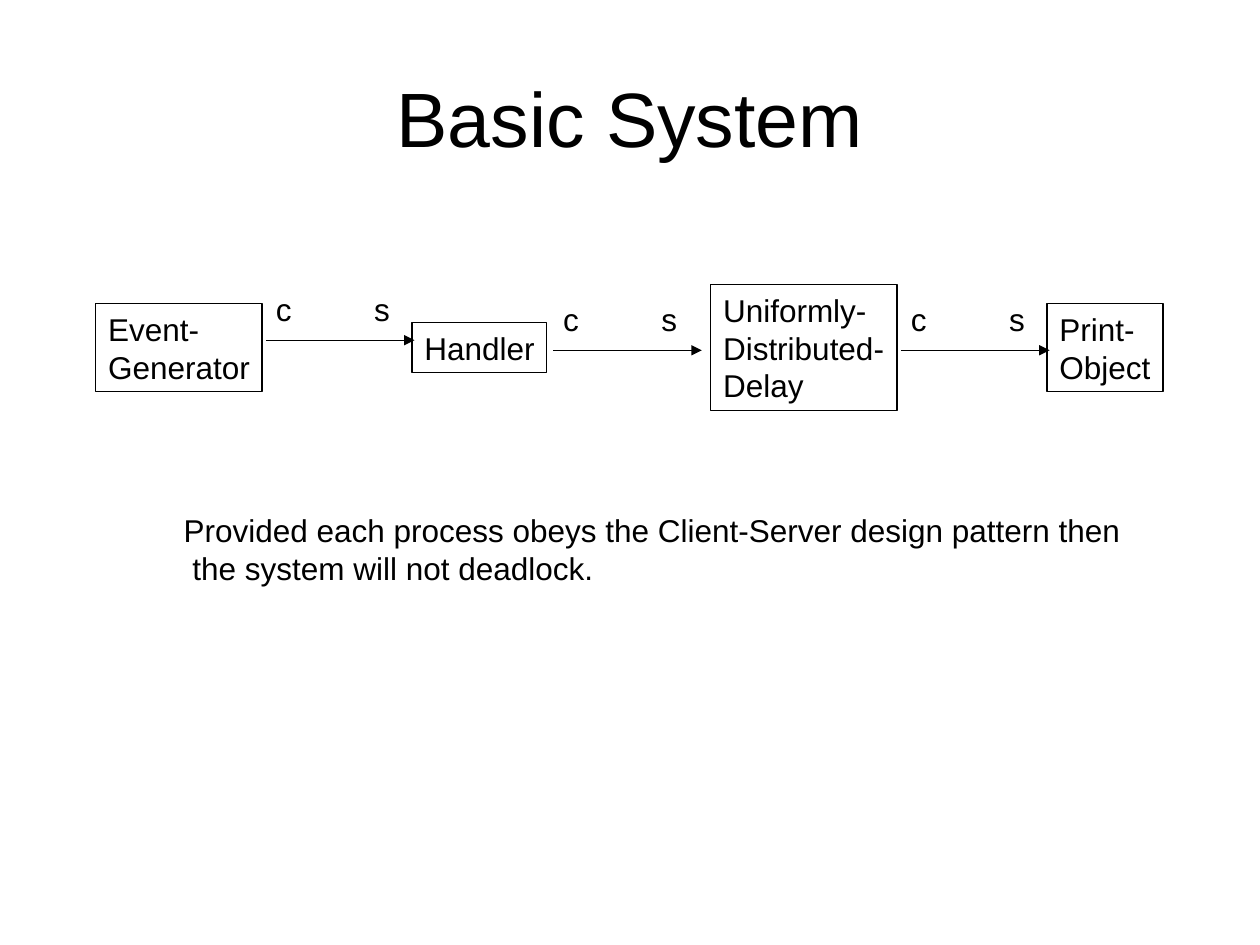
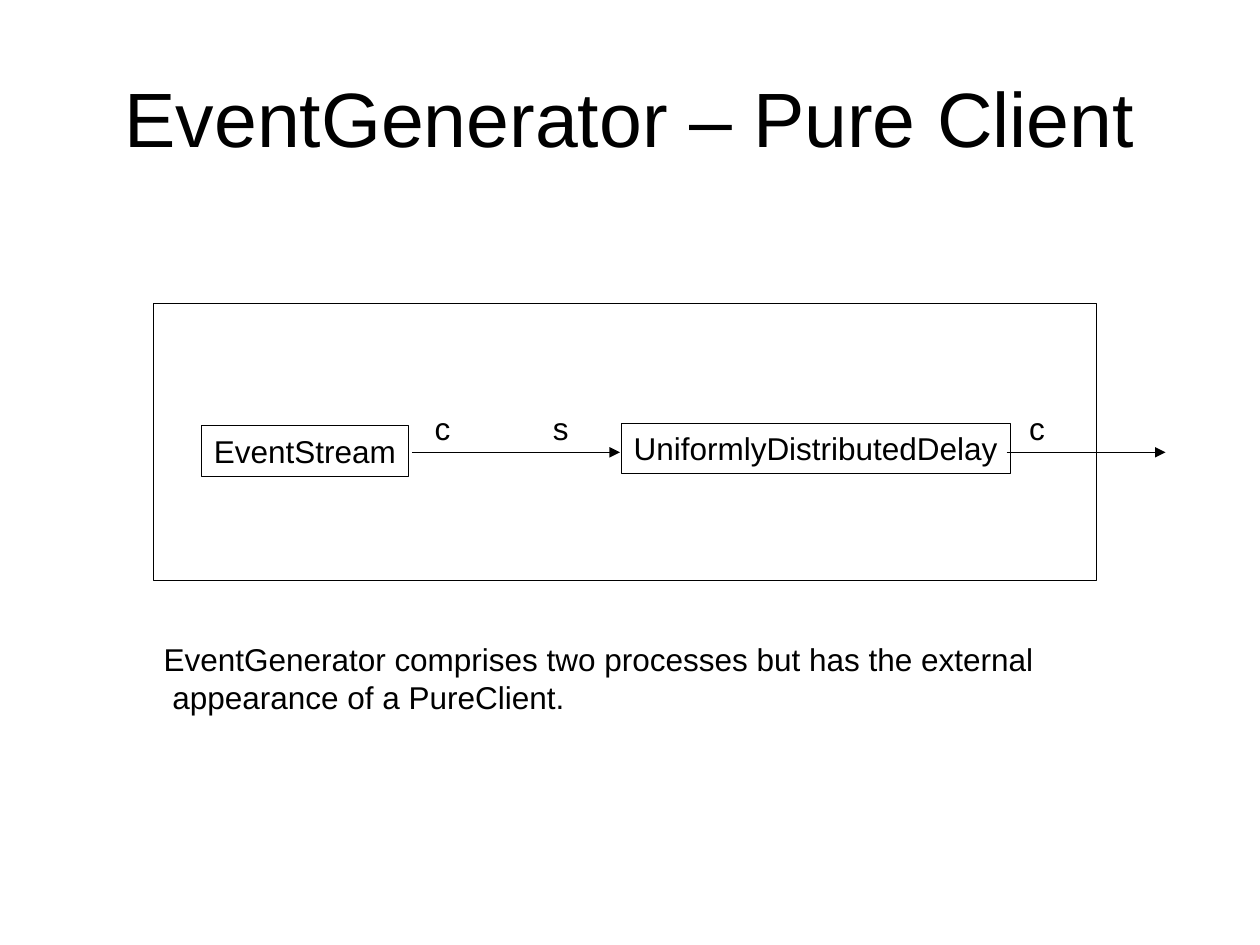
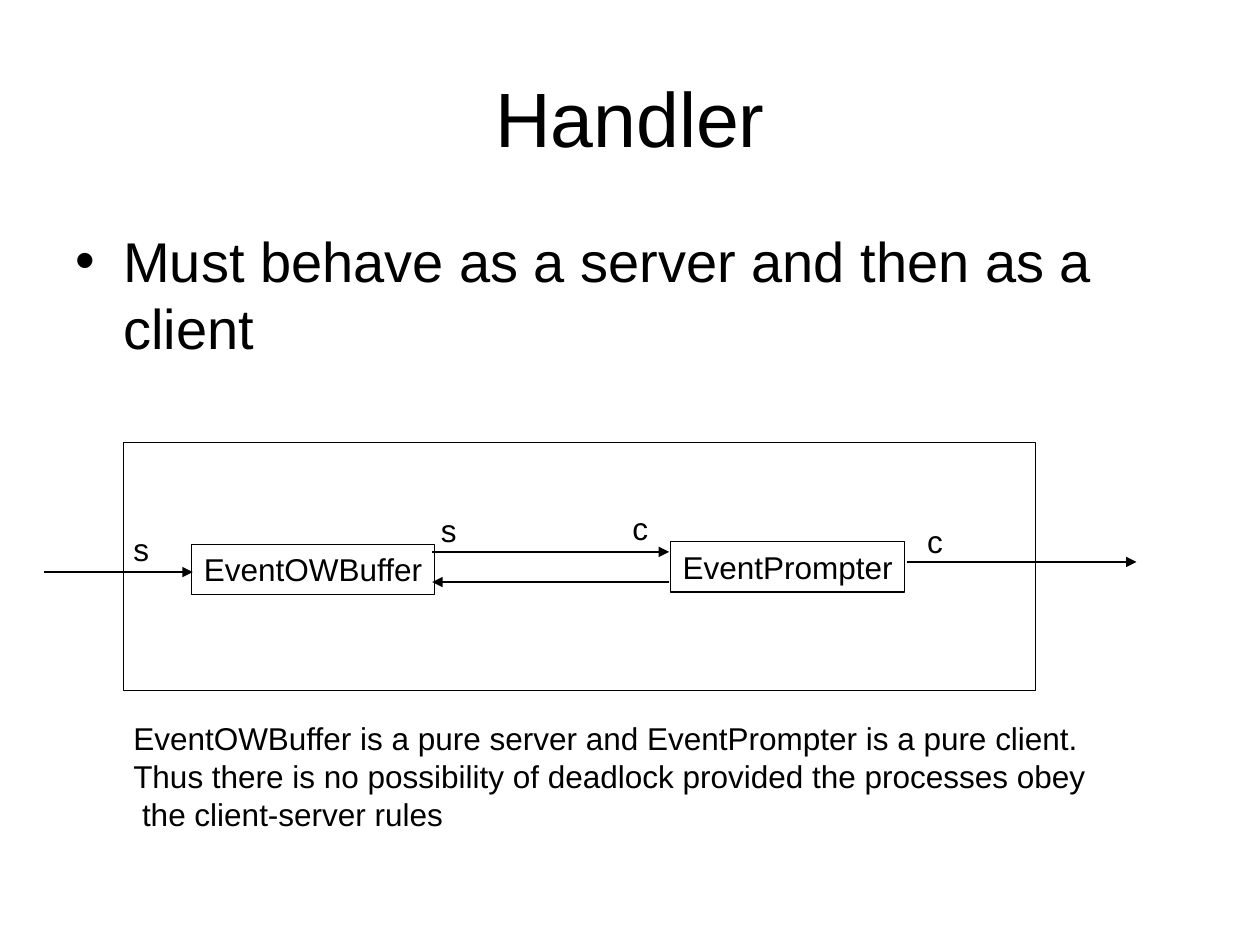
import pptx
import pptx.dml.color
import pptx.enum.shapes
import pptx.enum.text
import pptx.oxml
import pptx.oxml.ns
import pptx.util
from lxml import etree
from pptx.util import Inches

COLORS = {"ink": "000000", "paper": "FFFFFF"}
FONT = "Arial"
TITLE_SIZE, BULLET_SIZE, BODY_SIZE = 44, 32, 18
LINE_WIDTH = 0.74
TITLE_BOX = (0.5, 0.3, 9, 1.25)
LABEL_SIZE = (0.32, 0.4)


def color(name):
    """Return a named colour of the deck."""
    return pptx.dml.color.RGBColor.from_string(COLORS[name])


def add_xml(parent, tag, **attributes):
    """Append a drawing element to parent and return it."""
    return etree.SubElement(parent, pptx.oxml.ns.qn(tag), attributes)


def write(shape, text, size, align=pptx.enum.text.PP_ALIGN.LEFT):
    """Fill a shape with text, one paragraph for each line."""
    shape.text_frame.text = text
    for paragraph in shape.text_frame.paragraphs:
        paragraph.alignment = align
        paragraph.font.name = FONT
        paragraph.font.size = pptx.util.Pt(size)
        paragraph.font.color.rgb = color("ink")


def fit(shape):
    """Keep the shape's size and leave its lines spare room on the right."""
    frame = shape.text_frame
    frame.vertical_anchor = pptx.enum.text.MSO_ANCHOR.TOP
    frame.word_wrap = True
    frame.auto_size = pptx.enum.text.MSO_AUTO_SIZE.NONE
    frame.margin_right = 0


def add_text(shapes, box, text):
    """Add body text at the given box."""
    shape = shapes.add_textbox(*map(Inches, box))
    write(shape, text, BODY_SIZE)
    fit(shape)


def add_outline(shapes, box):
    """Add an unfilled rectangle with a thin line."""
    shape = shapes.add_shape(pptx.enum.shapes.MSO_SHAPE.RECTANGLE, *map(Inches, box))
    shape.shadow.inherit = False
    shape.fill.background()
    shape.line.color.rgb = color("ink")
    shape.line.width = pptx.util.Pt(LINE_WIDTH)
    return shape


def process_height(name):
    """Return the height of a process box in inches."""
    return 0.1 + 0.3 * len(name.split("\n"))


def add_process(shapes, left, top, width, name):
    """Add a process box as high as its name needs."""
    shape = add_outline(shapes, (left, top, width, process_height(name)))
    write(shape, name, BODY_SIZE)
    fit(shape)


def add_arrow(shapes, start, end, y):
    """Add a horizontal arrow that points at end."""
    connector = shapes.add_connector(
        pptx.enum.shapes.MSO_CONNECTOR.STRAIGHT,
        Inches(start), Inches(y), Inches(end), Inches(y))
    connector.line.color.rgb = color("ink")
    connector.line.width = pptx.util.Pt(LINE_WIDTH)
    properties = connector.element.spPr
    add_xml(properties.find(pptx.oxml.ns.qn("a:ln")), "a:tailEnd", type="triangle")
    add_xml(properties, "a:effectLst")


def add_link(slide, left, y, length=1.18):
    """Add a grouped arrow from a client end to a server end."""
    shapes = slide.shapes.add_group_shape().shapes
    add_arrow(shapes, left, left + length, y)
    for offset, role in ((-0.02, "c"), (0.76, "s")):
        add_text(shapes, (left + offset, y - 0.45, *LABEL_SIZE), role)


def add_chain(slide, left, middle, processes, links):
    """Place processes centred on one row and the links between them."""
    for x, width, name in processes:
        top = middle - process_height(name) / 2
        add_process(slide.shapes, left + x, top, width, name)
    for x, y in links:
        add_link(slide, left + x, middle + y)


def add_network(slide, box, processes, arrows, labels):
    """Place a framed network, its parts measured from the frame's corner."""
    left, top = box[:2]
    for x, y, width, name in processes:
        add_process(slide.shapes, left + x, top + y, width, name)
    for start, end, y in arrows:
        add_arrow(slide.shapes, left + start, left + end, top + y)
    add_outline(slide.shapes, box)
    for x, y, role in labels:
        add_text(slide.shapes, (left + x, top + y, *LABEL_SIZE), role)


def add_bullet(slide, box, text):
    """Add a large bulleted statement."""
    shape = slide.shapes.add_textbox(*map(Inches, box))
    shape.text_frame.word_wrap = True
    write(shape, text, BULLET_SIZE)
    paragraph = shape.text_frame.paragraphs[0]
    paragraph.space_before = pptx.util.Pt(8)
    properties = paragraph._p.get_or_add_pPr()
    properties.set("marL", str(Inches(0.38)))
    properties.set("indent", str(-Inches(0.38)))
    add_xml(add_xml(properties, "a:buClr"), "a:srgbClr", val=COLORS["ink"])
    add_xml(properties, "a:buFont", typeface=FONT)
    add_xml(properties, "a:buChar", char="•")


def add_slide(presentation, title):
    """Add a blank slide with the shared background and title."""
    slide = presentation.slides.add_slide(presentation.slide_layouts[6])
    slide.background.fill.solid()
    slide.background.fill.fore_color.rgb = color("paper")
    shape = slide.shapes.add_textbox(*map(Inches, TITLE_BOX))
    shape.text_frame.word_wrap = True
    shape.text_frame.vertical_anchor = pptx.enum.text.MSO_ANCHOR.MIDDLE
    write(shape, title, TITLE_SIZE, pptx.enum.text.PP_ALIGN.CENTER)
    return slide


def build_basic_system(presentation):
    """Build the slide of the whole system."""
    slide = add_slide(presentation, "Basic System")
    add_chain(
        slide, 0.76, 2.76,
        processes=[
            (0, 1.32, "Event-\nGenerator"),
            (2.51, 1.07, "Handler"),
            (4.88, 1.48, "Uniformly-\nDistributed-\nDelay"),
            (7.55, 0.92, "Print-\nObject"),
        ],
        links=[(1.35, -0.06), (3.63, 0.02), (6.39, 0.02)])
    add_text(slide.shapes, (1.36, 4.01, 7.63, 0.7),
             "Provided each process obeys the Client-Server design pattern then\n"
             " the system will not deadlock.")


def build_event_generator(presentation):
    """Build the slide of the event generator."""
    slide = add_slide(presentation, "EventGenerator – Pure Client")
    add_network(
        slide, (1.22, 2.41, 7.48, 2.2),
        processes=[
            (0.38, 0.97, 1.64, "EventStream"),
            (3.71, 0.95, 3.09, "UniformlyDistributedDelay"),
        ],
        arrows=[(2.05, 3.7, 1.18), (6.77, 8.03, 1.18)],
        labels=[(2.13, 0.79, "c"), (3.07, 0.79, "s"), (6.85, 0.79, "c")])
    add_text(slide.shapes, (1.2, 5.03, 7.1, 0.7),
             "EventGenerator comprises two processes but has the external\n"
             " appearance of a PureClient.")


def build_handler(presentation):
    """Build the slide of the handler."""
    slide = add_slide(presentation, "Handler")
    add_bullet(slide, (0.5, 1.75, 9, 1.29),
               "Must behave as a server and then as a client")
    add_network(
        slide, (0.98, 3.51, 7.24, 1.97),
        processes=[
            (0.54, 0.81, 1.93, "EventOWBuffer"),
            (4.34, 0.79, 1.86, "EventPrompter"),
        ],
        arrows=[(-0.63, 0.55, 1.03), (2.45, 4.33, 0.87),
                (4.33, 2.45, 1.11), (6.22, 8.04, 0.95)],
        labels=[(-0.02, 0.65, "s"), (2.42, 0.5, "s"),
                (3.94, 0.48, "c"), (6.28, 0.58, "c")])
    add_text(slide.shapes, (0.96, 5.66, 7.76, 1),
             "EventOWBuffer is a pure server and EventPrompter is a pure client.\n"
             "Thus there is no possibility of deadlock provided the processes obey\n"
             " the client-server rules")


def main():
    """Build and save the presentation."""
    presentation = pptx.Presentation()
    presentation.slide_width = Inches(10)
    presentation.slide_height = Inches(7.5)
    build_basic_system(presentation)
    build_event_generator(presentation)
    build_handler(presentation)
    presentation.save("out.pptx")


main()
